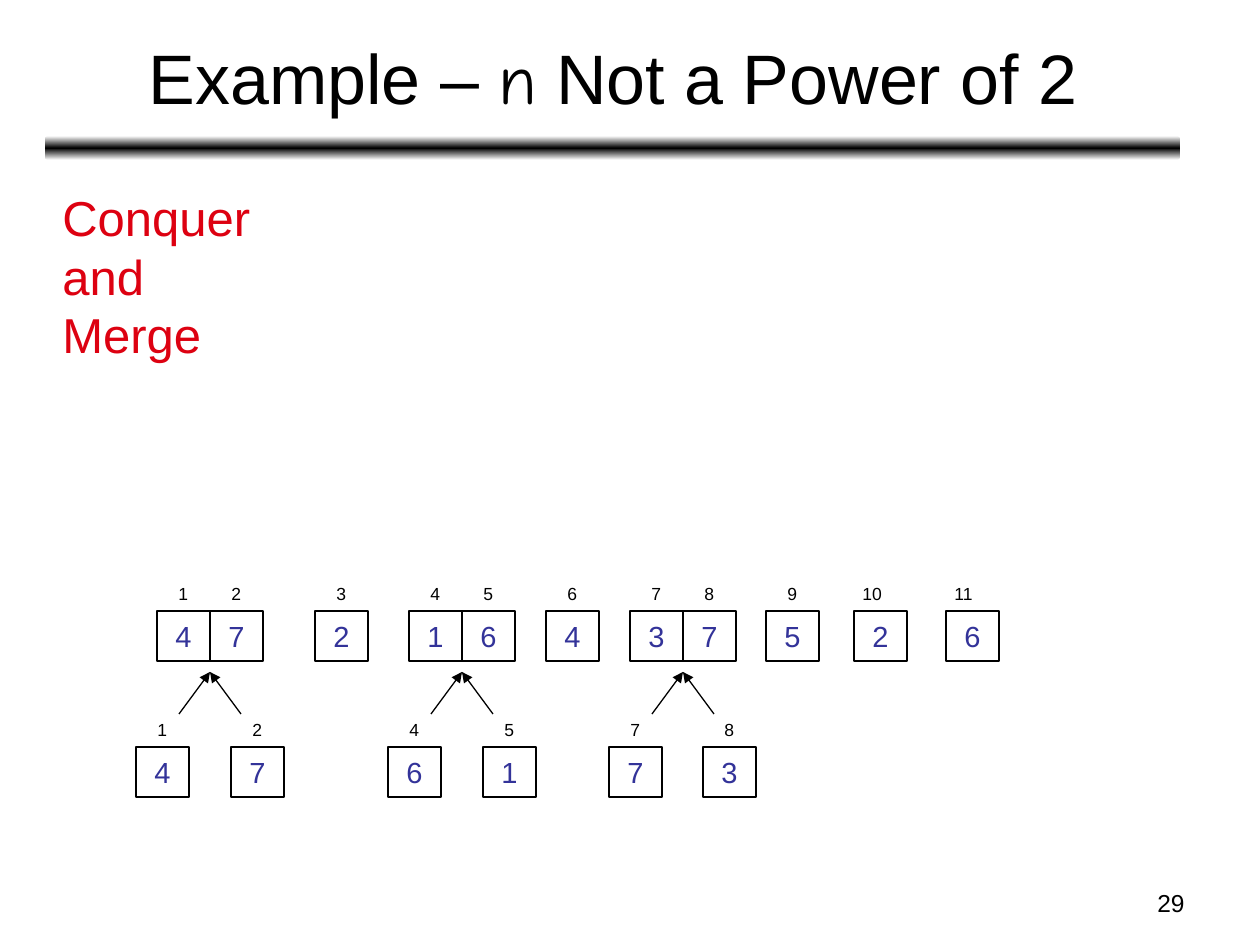
"""Build the merge step slide for a merge sort whose size is not a power of two."""
from copy import deepcopy

from lxml.etree import SubElement
from pptx import Presentation
from pptx.dml.color import RGBColor
from pptx.enum.shapes import MSO_CONNECTOR, MSO_SHAPE
from pptx.enum.text import MSO_ANCHOR, MSO_AUTO_SIZE, PP_ALIGN
from pptx.oxml.ns import qn
from pptx.util import Pt

TITLE = [("Example – ", "Arial"), ("n", "Comic Neue"), (" Not a Power of 2", "Arial")]
HEADING = ["Conquer", "and", "Merge"]
PAGE_NUMBER = "29"
MERGED = [
    (157, 1, [4, 7]), (315, 3, [2]), (409, 4, [1, 6]), (546, 6, [4]),
    (630, 7, [3, 7]), (766, 9, [5]), (854, 10, [2]), (946, 11, [6]),
]
SINGLES = [
    (136, 1, [4]), (231, 2, [7]), (388, 4, [6]),
    (483, 5, [1]), (609, 7, [7]), (703, 8, [3]),
]
ROWS = [(611, MERGED), (747, SINGLES)]
BLACK, WHITE, BLUE, RED = "000000", "FFFFFF", "333399", "DD0111"
CELL_WIDTH, CELL_HEIGHT, LABEL_HEIGHT = 53, 50, 34
ARROW_TOP, ARROW_BOTTOM, ARROW_REACH = 672, 714, 31


def px(length):
    return round(length * 914400 / 126)


def color(code):
    return RGBColor.from_string(code)


def add_span(para, text, size, code, font="Arial"):
    span = para.add_run()
    span.text = text
    span.font.size = Pt(size)
    span.font.name = font
    span.font.color.rgb = color(code)


def add_text(page, place, lines, size, code=BLACK, align=PP_ALIGN.LEFT, wrap=True):
    box = page.shapes.add_textbox(*map(px, place))
    frame = box.text_frame
    frame.word_wrap = wrap
    if not wrap:
        frame.auto_size = MSO_AUTO_SIZE.SHAPE_TO_FIT_TEXT
    for index, line in enumerate(lines):
        para = frame.add_paragraph() if index else frame.paragraphs[0]
        para.alignment = align
        add_span(para, line, size, code)


def add_bar(page):
    bar = page.shapes.add_shape(MSO_SHAPE.ROUNDED_RECTANGLE, *map(px, (45, 136, 1135, 24)))
    bar.shadow.inherit = False
    bar.line.fill.background()
    bar.fill.gradient()
    bar.fill.gradient_angle = 90
    stop_list = bar._element.spPr.find(".//" + qn("a:gsLst"))
    stop_list.append(deepcopy(stop_list[-1]))
    for stop, position, code in zip(bar.fill.gradient_stops, (0, 0.5, 1), (WHITE, BLACK, WHITE)):
        stop.position = position
        stop.color.rgb = color(code)


def add_cell(page, left, top, number, value):
    cell = page.shapes.add_shape(
        MSO_SHAPE.RECTANGLE, px(left), px(top), px(CELL_WIDTH), px(CELL_HEIGHT))
    cell.shadow.inherit = False
    cell.fill.background()
    cell.line.color.rgb = color(BLACK)
    cell.line.width = Pt(1.5)
    frame = cell.text_frame
    frame.word_wrap = False
    frame.vertical_anchor = MSO_ANCHOR.MIDDLE
    para = frame.paragraphs[0]
    para.alignment = PP_ALIGN.CENTER
    para.space_before = Pt(4.5)
    add_span(para, str(value), 16.6, BLUE)
    offset, width = (9, 32) if number < 10 else (-4, CELL_WIDTH)
    add_text(page, (left + offset, top - LABEL_HEIGHT, width, LABEL_HEIGHT), [str(number)], 10)


def add_arrow(page, apex, foot):
    arrow = page.shapes.add_connector(
        MSO_CONNECTOR.STRAIGHT, px(apex), px(ARROW_TOP), px(foot), px(ARROW_BOTTOM))
    arrow.line.color.rgb = color(BLACK)
    arrow.line.width = Pt(0.75)
    SubElement(arrow.line._get_or_add_ln(), qn("a:headEnd"), type="triangle")
    SubElement(arrow._element.spPr, qn("a:effectLst"))


def main():
    deck = Presentation()
    deck.slide_width, deck.slide_height = px(1260), px(945)
    page = deck.slides.add_slide(deck.slide_layouts[5])
    add_bar(page)

    title = page.shapes.title
    title.left, title.top, title.width, title.height = map(px, (46, 14, 1134, 125))
    title.text_frame.vertical_anchor = MSO_ANCHOR.MIDDLE
    para = title.text_frame.paragraphs[0]
    para.alignment = PP_ALIGN.CENTER
    for text, font in TITLE:
        add_span(para, text, 40, BLACK, font)

    for top, groups in ROWS:
        for left, first, values in groups:
            for index, value in enumerate(values):
                add_cell(page, left + index * CELL_WIDTH, top, first + index, value)
    for left, first, values in MERGED:
        if len(values) == 2:
            apex = left + CELL_WIDTH
            for reach in (-ARROW_REACH, ARROW_REACH):
                add_arrow(page, apex, apex + reach)

    add_text(page, (50, 181, 213, 189), HEADING, 28, RED, wrap=False)
    add_text(page, (903, 882, 294, 44), [PAGE_NUMBER], 14, align=PP_ALIGN.RIGHT)
    deck.save("out.pptx")


if __name__ == "__main__":
    main()
